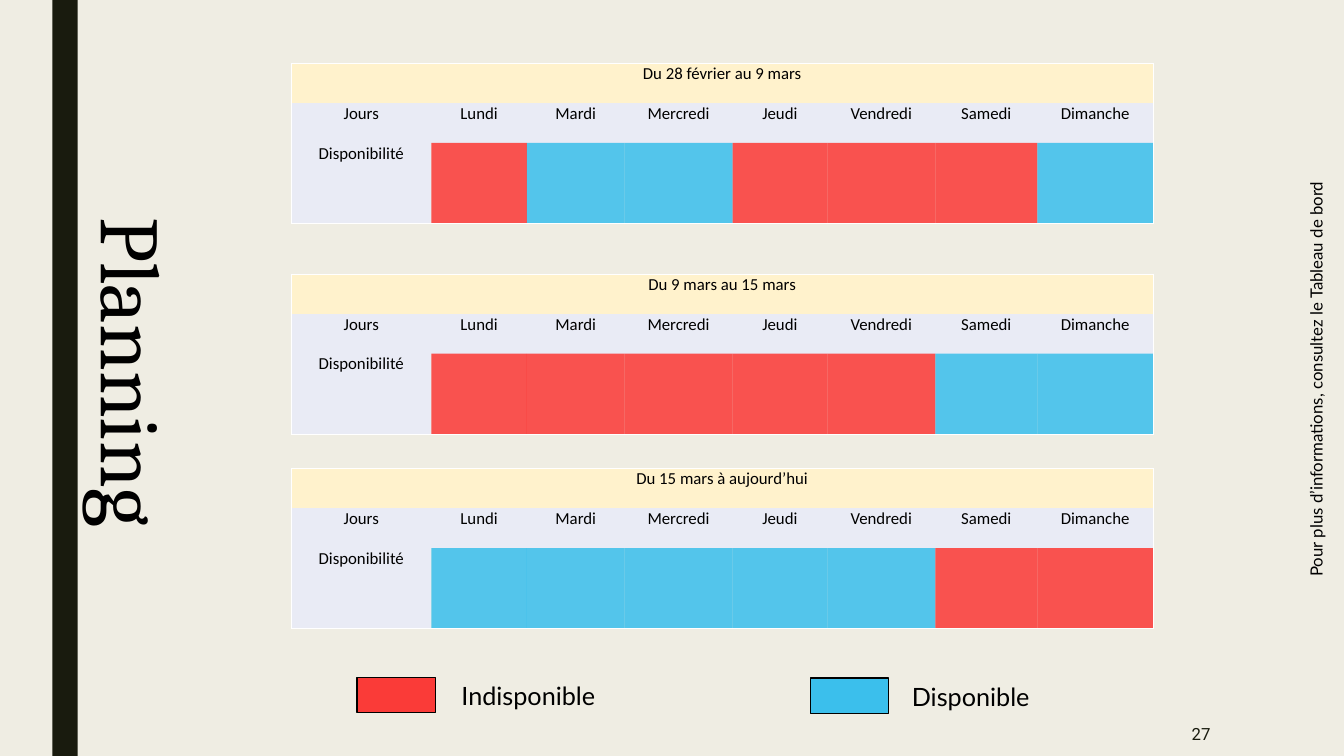
"""Build the availability planning slide."""
import pptx
import pptx.util
import pptx.dml.color
import pptx.enum.shapes
import pptx.enum.text
import pptx.oxml
import pptx.oxml.ns

Cm = pptx.util.Cm
Pt = pptx.util.Pt
RGB = pptx.dml.color.RGBColor
Align = pptx.enum.text.PP_ALIGN
Anchor = pptx.enum.text.MSO_ANCHOR
Fit = pptx.enum.text.MSO_AUTO_SIZE
qn = pptx.oxml.ns.qn

PAPER = RGB(0xEF, 0xED, 0xE3)
DARK = RGB(0x19, 0x1B, 0x0E)
BLACK = RGB(0, 0, 0)
WHITE = RGB(0xFF, 0xFF, 0xFF)
RED = RGB(0xFF, 0, 0)
BLUE = RGB(0, 0xB0, 0xF0)
CREAM = RGB(0xFF, 0xF2, 0xCC)
MIST = RGB(0xE9, 0xEB, 0xF5)

DAYS = ["Lundi", "Mardi", "Mercredi", "Jeudi", "Vendredi", "Samedi", "Dimanche"]
WIDTHS = [3.53, 2.41, 2.46, 2.72, 2.39, 2.72, 2.57, 2.92]
HEIGHTS = [1, 1, 2.03]
STATES = {"I": RED, "D": BLUE}
WEEKS = [
    (1.6, "Du 28 février au 9 mars", "IDDIIID"),
    (6.91, "Du 9 mars au 15 mars", "IIIIIDD"),
    (11.81, "Du 15 mars à aujourd’hui", "DDDDDII"),
]
LEGEND = [
    (9, 11.38, 17.07, "Indisponible", RED),
    (20.42, 22.73, 17.09, "Disponible", BLUE),
]


class Board:
    """Holds the style and the current slide."""

    def __init__(self, slide):
        self.slide = slide
        self.sans = "Lato"
        self.serif = "Cambria"
        self.grid = "Calibri"
        self.digit = "Roboto"
        slide.background.fill.solid()
        slide.background.fill.fore_color.rgb = PAPER

    def paint(self, fill, holder, color, alpha=100):
        fill.solid()
        fill.fore_color.rgb = color
        if alpha < 100:
            tint = holder.find(qn("a:solidFill"))[0]
            pptx.oxml.ns.nsdecls("a")
            tint.append(pptx.oxml.parse_xml(
                f'<a:alpha {pptx.oxml.ns.nsdecls("a")} val="{alpha * 1000}"/>'))

    def style(self, para, name, size, color=BLACK, align=None):
        para.font.name = name
        para.font.size = Pt(size)
        para.font.color.rgb = color
        para.alignment = align

    def bar(self, left, top, width, height, color, alpha=100, edge=None):
        shape = self.slide.shapes.add_shape(
            pptx.enum.shapes.MSO_SHAPE.RECTANGLE,
            Cm(left), Cm(top), Cm(width), Cm(height))
        shape.shadow.inherit = False
        self.paint(shape.fill, shape.element.spPr, color, alpha)
        if edge is None:
            shape.line.fill.background()
        else:
            shape.line.color.rgb = edge
            shape.line.width = Pt(1)

    def text(self, left, top, width, height, words, name, size, turn=0,
             color=BLACK, align=None, anchor=Anchor.TOP, fit=Fit.SHAPE_TO_FIT_TEXT):
        box = self.slide.shapes.add_textbox(Cm(left), Cm(top), Cm(width), Cm(height))
        box.rotation = turn
        frame = box.text_frame
        frame.word_wrap = True
        frame.auto_size = fit
        frame.vertical_anchor = anchor
        frame.text = words
        self.style(frame.paragraphs[0], name, size, color, align)

    def edges(self, cell, sides):
        props = cell._tc.get_or_add_tcPr()
        for spot, side in enumerate("LRTB"):
            ink = (f'<a:solidFill><a:srgbClr val="{WHITE}"/></a:solidFill>'
                   if side in sides else "<a:noFill/>")
            props.insert(spot, pptx.oxml.parse_xml(
                f'<a:ln{side} {pptx.oxml.ns.nsdecls("a")} w="12700">{ink}</a:ln{side}>'))

    def cell(self, cell, words, color, alpha, sides):
        self.paint(cell.fill, cell._tc.get_or_add_tcPr(), color, alpha)
        self.edges(cell, sides)
        cell.margin_left = cell.margin_right = Cm(0.18)
        cell.margin_top = cell.margin_bottom = 0
        if words:
            cell.text = words
            para = cell.text_frame.paragraphs[0]
            para.line_spacing = 1.01
            self.style(para, self.grid, 12, align=Align.CENTER)

    def week(self, top, title, code):
        table = self.slide.shapes.add_table(
            len(HEIGHTS), len(WIDTHS), Cm(7.34), Cm(top),
            Cm(sum(WIDTHS)), Cm(sum(HEIGHTS))).table
        table.first_row = table.horz_banding = False
        for col, width in zip(table.columns, WIDTHS):
            col.width = Cm(width)
        for row, height in zip(table.rows, HEIGHTS):
            row.height = Cm(height)
        last = len(DAYS)
        table.cell(0, 0).merge(table.cell(0, last))
        heads = ["Jours"] + DAYS
        for col, head in enumerate(heads):
            side = {0: "L", last: "R"}.get(col, "")
            self.cell(table.cell(0, col), "" if col else title, CREAM, 100,
                      side + "T" if col else "LRT")
            self.cell(table.cell(1, col), head, MIST, 100, side)
            if col:
                self.cell(table.cell(2, col), "", STATES[code[col - 1]], 65, side + "B")
            else:
                self.cell(table.cell(2, col), "Disponibilité", MIST, 100, "LB")


def main():
    deck = pptx.Presentation()
    deck.slide_width, deck.slide_height = Cm(33.87), Cm(19.05)
    board = Board(deck.slides.add_slide(deck.slide_layouts[6]))
    board.bar(1.32, 0, 0.64, 19.05, DARK)
    for left, start, top, label, color in LEGEND:
        board.bar(left, top, 1.98, 0.89, color, 75, BLACK)
        board.text(start, top - 0.05, 6.3, 1.02, label, board.sans, 18)
    board.text(-3.43, 10.62, 13.61, 2.82, "Planning", board.serif, 60, 90)
    board.text(24.94, 6.17, 16.46, 0.77,
               "Pour plus d’informations, consultez le Tableau de bord",
               board.sans, 12, 270)
    board.text(26.31, 17.93, 4.45, 1.12, "27", board.digit, 12, color=DARK,
               align=Align.RIGHT, anchor=Anchor.MIDDLE, fit=Fit.NONE)
    for top, title, code in WEEKS:
        board.week(top, title, code)
    deck.save("out.pptx")


if __name__ == "__main__":
    main()
